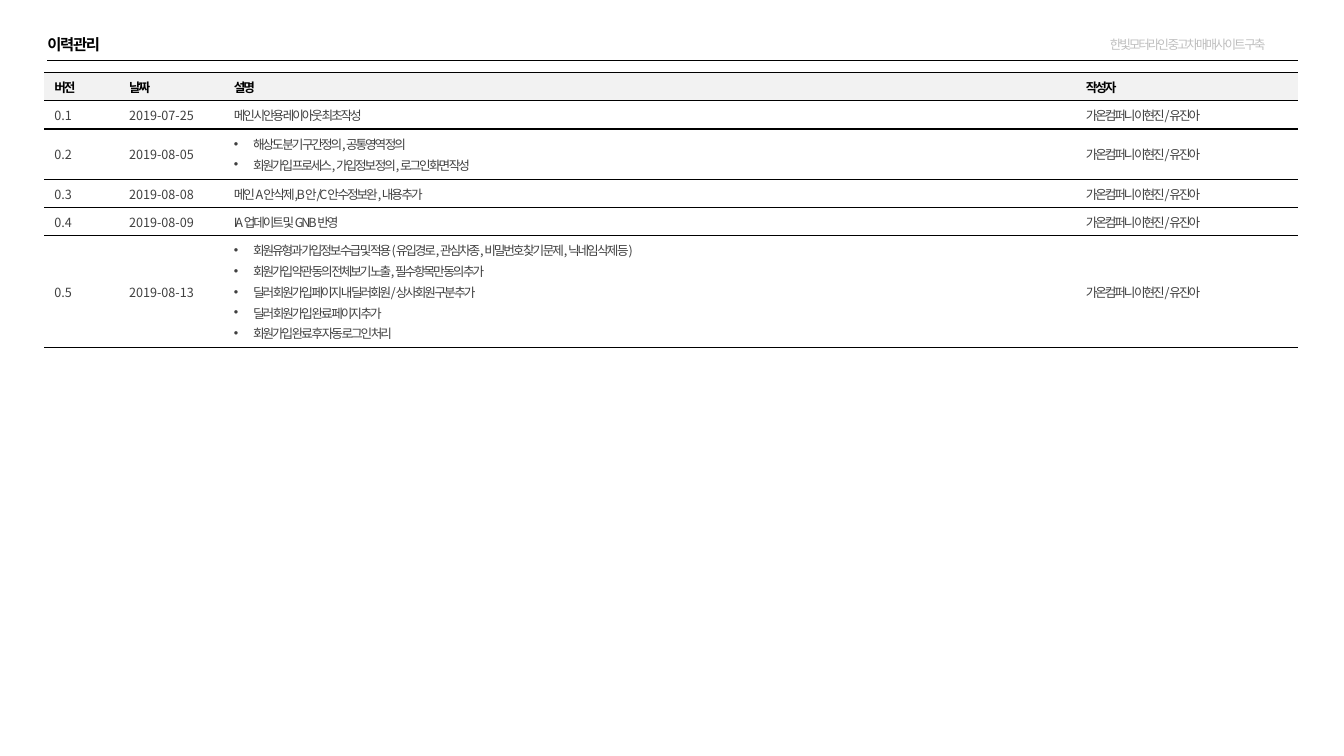
"""Build the revision history slide."""
from lxml.etree import SubElement
from pptx import Presentation
from pptx.dml.color import RGBColor
from pptx.enum.shapes import MSO_CONNECTOR as Link
from pptx.enum.text import MSO_ANCHOR as Anchor, MSO_AUTO_SIZE as Fit, PP_ALIGN as Align
from pptx.oxml import parse_xml
from pptx.oxml.ns import nsdecls, qn
from pptx.util import Inches, Pt

HUES = {"ink": "000000", "body": "404040", "pale": "BFBFBF", "head": "F2F2F2", "page": "FFFFFF"}
FONT = "Noto Sans CJK KR"
WRITER = "가온컴퍼니 이현진/유진아"
HEADS = ["버전", "날짜", "설명", "작성자"]
LOG = [
    ("0.1", "2019-07-25", ["메인 시안용 레이아웃 최초작성"]),
    ("0.2", "2019-08-05", [
        "해상도 분기 구간정의, 공통영역 정의",
        "회원가입 프로세스, 가입정보 정의, 로그인 화면 작성",
    ]),
    ("0.3", "2019-08-08", ["메인 A안 삭제, B안/C안 수정보완, 내용 추가"]),
    ("0.4", "2019-08-09", ["IA 업데이트 및 GNB 반영"]),
    ("0.5", "2019-08-13", [
        "회원유형과 가입정보 수급 및 적용 (유입경로, 관심차종, 비밀번호 찾기 문제, 닉네임 삭제 등)",
        "회원가입 약관 동의 전체보기 노출, 필수항목만 동의 추가",
        "딜러 회원가입 페이지 내 딜러회원/상사회원 구분 추가",
        "딜러 회원가입 완료 페이지 추가",
        "회원가입 완료 후 자동 로그인 처리",
    ]),
]
WIDTHS = [0.74, 1.04, 8.45, 2.2]
HEIGHTS = [0.28, 0.28, 0.5, 0.28, 0.28, 1.11]
SPARE = 9


def color(name):
    return RGBColor.from_string(HUES[name])


def style(para, size, hue, bold=False, gap=0, face=FONT):
    for run in para.runs:
        font = run.font
        font.size, font.bold, font.name = Pt(size), bold, face
        font.color.rgb = color(hue)
        props = font._element
        props.set("spc", str(int(gap * 100)))
        SubElement(props, qn("a:ea")).set("typeface", FONT)


def bullet(para):
    props = para._p.get_or_add_pPr()
    props.set("marL", str(Inches(0.19)))
    props.set("indent", str(-Inches(0.19)))
    SubElement(props, qn("a:buFont")).set("typeface", "Arial")
    SubElement(props, qn("a:buChar")).set("char", "•")


def border(cell, top, base):
    props = cell._tc.get_or_add_tcPr()
    sides = [("L", 0), ("R", 0), ("T", top), ("B", base)]
    for spot, (side, width) in enumerate(sides):
        fill = f'<a:solidFill><a:srgbClr val="{HUES["ink"]}"/></a:solidFill>' if width else "<a:noFill/>"
        line = f'<a:ln{side} {nsdecls("a")} w="{Pt(width)}">{fill}</a:ln{side}>'
        props.insert(spot, parse_xml(line))


def fill_cell(cell, lines, hue="body", bold=False, gap=0):
    cell.vertical_anchor = Anchor.MIDDLE
    cell.text_frame.text = "\n".join(lines)
    for spot, para in enumerate(cell.text_frame.paragraphs):
        if len(lines) > 1:
            bullet(para)
        if spot:
            para.space_before = Pt(1.8)
        style(para, 9, hue, bold, gap)


def add_title(slide, text):
    title = slide.shapes.title
    title.left, title.top = Inches(0.47), Inches(0.37)
    title.width, title.height = Inches(4.05), Inches(0.17)
    frame = title.text_frame
    frame.text = text
    frame.auto_size = Fit.NONE
    frame.vertical_anchor = Anchor.MIDDLE
    frame.margin_left = frame.margin_right = frame.margin_top = frame.margin_bottom = 0
    para = frame.paragraphs[0]
    para.alignment, para.line_spacing = Align.LEFT, 0.9
    style(para, 11, "ink", True, -1, "Arial")


def add_label(slide, text):
    box = slide.shapes.add_textbox(Inches(10.91), Inches(0.32), Inches(1.93), Inches(0.25))
    frame = box.text_frame
    frame.text = text
    frame.word_wrap = True
    frame.vertical_anchor = Anchor.MIDDLE
    style(frame.paragraphs[0], 9, "pale", gap=-1.5, face="Arial")


def add_rule(slide):
    rule = slide.shapes.add_connector(Link.STRAIGHT, Inches(0.47), Inches(0.6), Inches(12.87), Inches(0.6))
    rule.line.color.rgb = color("ink")
    rule.line.width = Pt(0.25)
    SubElement(rule._element.spPr, qn("a:effectLst"))


def add_log(slide):
    highs = HEIGHTS + [0.3] * SPARE
    shape = slide.shapes.add_table(
        len(highs), len(WIDTHS), Inches(0.44), Inches(0.72), Inches(sum(WIDTHS)), Inches(sum(highs)))
    table = shape.table
    table.first_row = table.horz_banding = False
    for col, width in zip(table.columns, WIDTHS):
        col.width = Inches(width)
    for row, high in zip(table.rows, highs):
        row.height = Inches(high)
    edges = [0.5, 0.5] + [1] * len(LOG) + [0] * SPARE
    for spot, row in enumerate(table.rows):
        for cell in row.cells:
            cell.fill.solid()
            cell.fill.fore_color.rgb = color("page" if spot else "head")
            border(cell, edges[spot], edges[spot + 1])
    for col, head in enumerate(HEADS):
        fill_cell(table.cell(0, col), [head], "ink", True, -1.5)
    for row, (mark, date, notes) in enumerate(LOG, 1):
        for col, lines in enumerate([[mark], [date], notes, [WRITER]]):
            fill_cell(table.cell(row, col), lines, gap=-1.5 if col > 1 else 0)


def main():
    deck = Presentation()
    deck.slide_width, deck.slide_height = Inches(13.33), Inches(7.5)
    slide = deck.slides.add_slide(deck.slide_layouts[5])
    add_rule(slide)
    add_label(slide, "한빛모터라인 중고차매매사이트 구축")
    add_title(slide, "이력관리")
    add_log(slide)
    deck.save("out.pptx")


if __name__ == "__main__":
    main()
